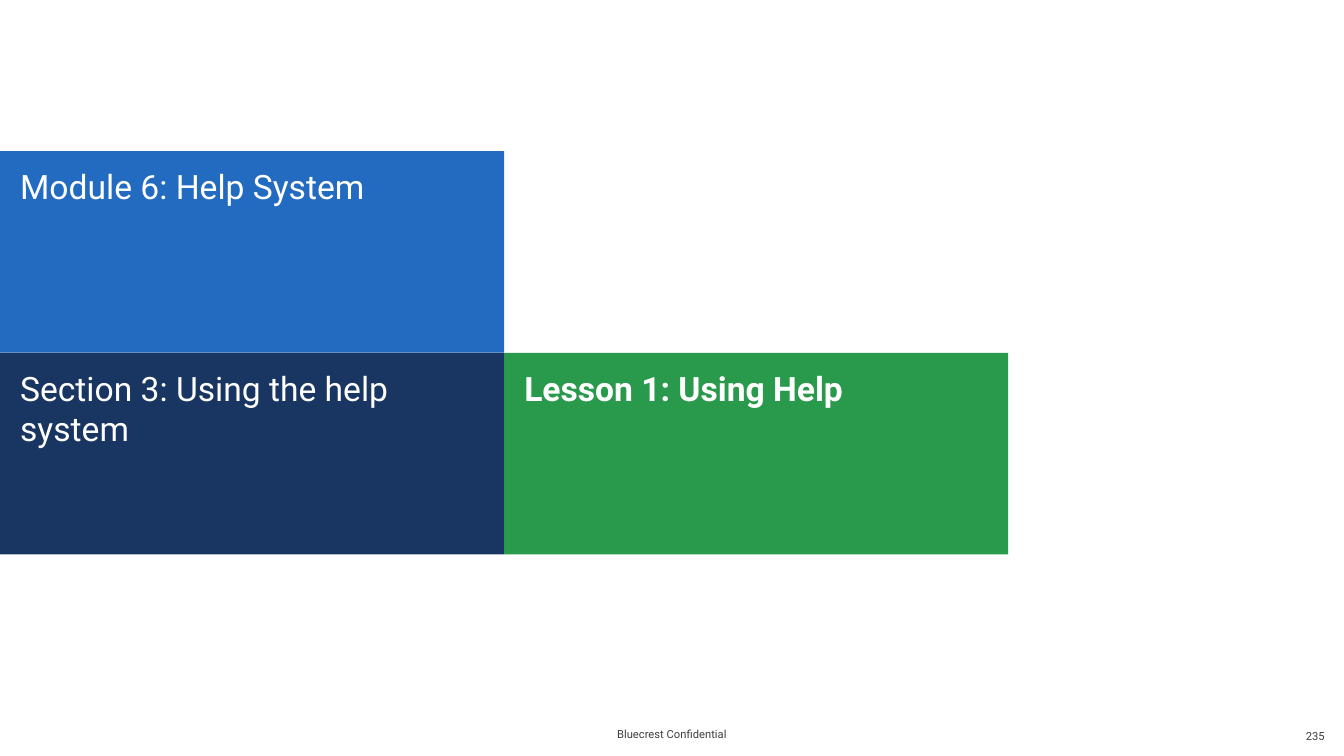
from dataclasses import dataclass

from lxml.etree import SubElement
from pptx import Presentation
from pptx.dml.color import RGBColor
from pptx.enum.shapes import MSO_SHAPE as Preset
from pptx.enum.text import MSO_ANCHOR as Anchor, PP_ALIGN as Align
from pptx.oxml.ns import qn
from pptx.shapes.autoshape import Shape
from pptx.slide import Slide
from pptx.util import Emu, Pt

EMU_PER_PX = 9144
PANEL_WIDTH, PANEL_HEIGHT = 500, 200
GRID_TOP = 150
PANEL_OPACITY = 90


@dataclass(frozen=True)
class Panel:
    text: str
    column: int
    row: int
    fill: str
    bold: bool = False


@dataclass(frozen=True)
class FooterLabel:
    text: str
    left: int
    top: int
    align: Align


PANELS = [
    Panel("Module 6: Help System", 0, 0, "0A5BBA"),
    Panel("Section 3: Using the help system", 0, 1, "002050"),
    Panel("Lesson 1: Using Help", 1, 1, "129038", bold=True),
]
FOOTER_LABELS = [
    FooterLabel("Bluecrest Confidential", 511, 708, Align.CENTER),
    FooterLabel("235", 1023, 710, Align.RIGHT),
]


def px(length: int) -> Emu:
    return Emu(length * EMU_PER_PX)


def color(value: str) -> RGBColor:
    return RGBColor.from_string(value)


def set_text(shape: Shape, text: str, size: int, font_color: str, align: Align,
             anchor: Anchor, margins: tuple[int, int, int, int], bold: bool = False) -> None:
    frame = shape.text_frame
    frame.word_wrap = True
    frame.vertical_anchor = anchor
    left, top, right, bottom = map(px, margins)
    frame.margin_left, frame.margin_top = left, top
    frame.margin_right, frame.margin_bottom = right, bottom
    paragraph = frame.paragraphs[0]
    paragraph.text = text
    paragraph.alignment = align
    paragraph.font.name = "Roboto"
    paragraph.font.size = Pt(size)
    paragraph.font.bold = bold
    paragraph.font.color.rgb = color(font_color)


def draw_panel(slide: Slide, panel: Panel) -> None:
    shape = slide.shapes.add_shape(
        Preset.RECTANGLE, px(panel.column * PANEL_WIDTH),
        px(GRID_TOP + panel.row * PANEL_HEIGHT), px(PANEL_WIDTH), px(PANEL_HEIGHT))
    shape.shadow.inherit = False
    shape.line.fill.background()
    shape.fill.solid()
    shape.fill.fore_color.rgb = color(panel.fill)
    fill_color = shape.fill._xPr.find(qn("a:solidFill")).find(qn("a:srgbClr"))
    SubElement(fill_color, qn("a:alpha"), val=str(PANEL_OPACITY * 1000))
    set_text(shape, panel.text, 24, "FFFFFF", Align.LEFT, Anchor.TOP,
             (20, 15, 10, 5), panel.bold)


def draw_footer_label(slide: Slide, label: FooterLabel) -> None:
    shape = slide.shapes.add_textbox(px(label.left), px(label.top), px(311), px(40))
    set_text(shape, label.text, 8, "3F3F3F", label.align, Anchor.MIDDLE, (20, 5, 20, 5))


def main() -> None:
    presentation = Presentation()
    presentation.slide_width, presentation.slide_height = px(1333), px(750)
    slide = presentation.slides.add_slide(presentation.slide_layouts[6])
    for panel in PANELS:
        draw_panel(slide, panel)
    for label in FOOTER_LABELS:
        draw_footer_label(slide, label)
    presentation.save("out.pptx")


if __name__ == "__main__":
    main()
